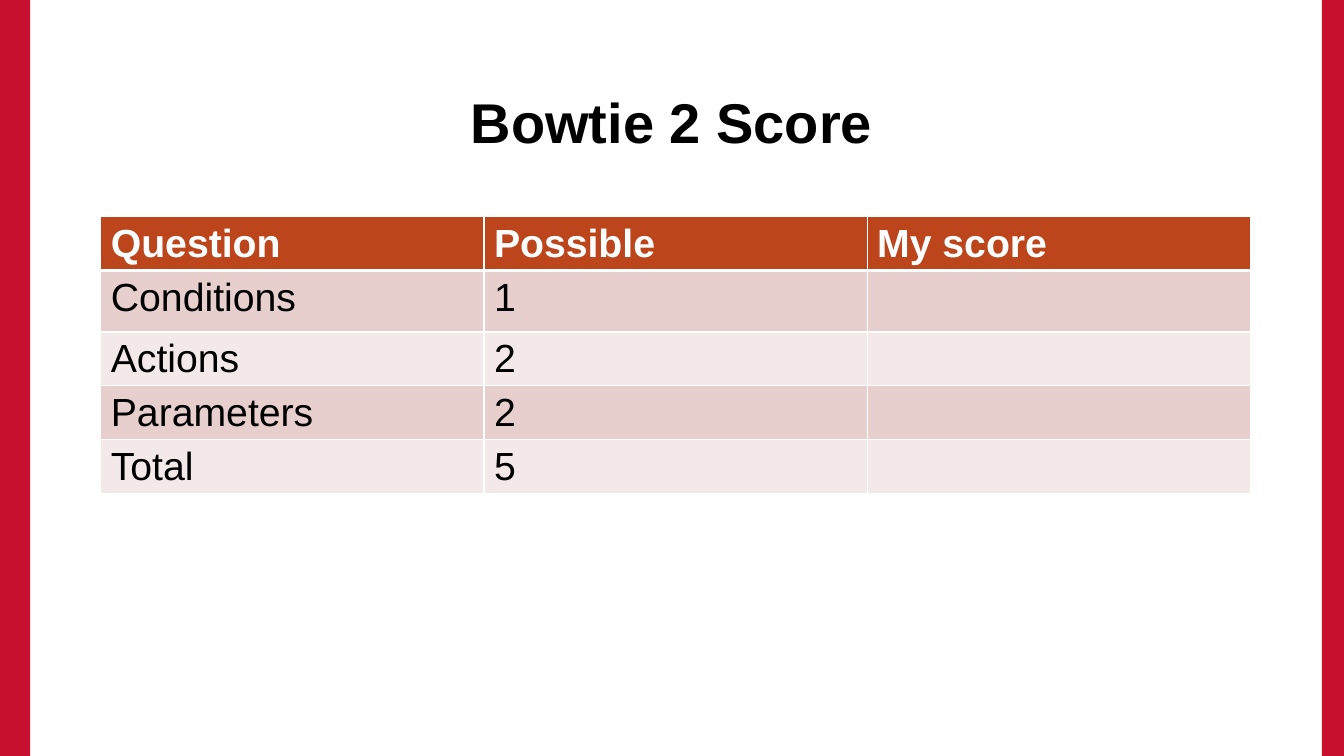
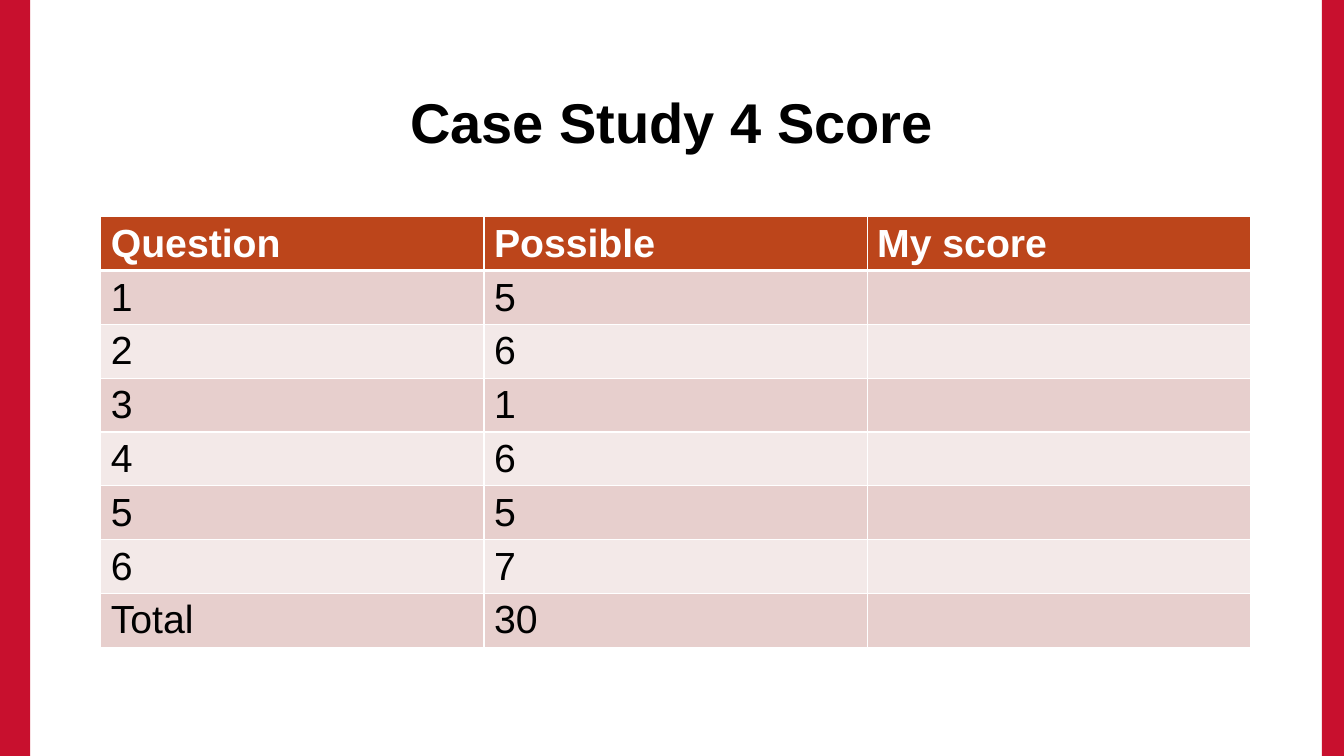
from pptx import Presentation
from pptx import util as u
from pptx.dml.color import RGBColor
from pptx.enum import shapes, text
from pptx.oxml import parse_xml
from pptx.oxml.ns import nsdecls

HEADER = ("Question", "Possible", "My score")
SCORES = [
    ("Bowtie 2 Score",
     [("Conditions", 1), ("Actions", 2), ("Parameters", 2), ("Total", 5)],
     {1: 0.61}),
    ("Case Study 4 Score",
     [(1, 5), (2, 6), (3, 1), (4, 6), (5, 5), (6, 7), ("Total", 30)],
     {}),
]
RED, RUST, WHITE, BLACK = "C8102E", "BC451B", "FFFFFF", "000000"
ROW_FILLS = ("E7CFCD", "F3E9E8")
WIDTH, HEIGHT = 13.33, 7.5
BANDS = [(0, 0.3), (13.11, 0.22)]
TITLE_AREA = {"left": 1, "top": 0.67, "width": 11.32, "height": 1.06}
TABLE_LEFT, TABLE_TOP, COLUMN_WIDTH, ROW_HEIGHT = 1, 2.15, 3.8, 0.53
TITLE_FONT = {"name": "Arial", "size": u.Pt(40), "bold": True}
HEADER_FONT = {"name": "Arial", "size": u.Pt(28), "bold": True}
BODY_FONT = {**HEADER_FONT, "bold": False}


def rgb(value):
    return RGBColor.from_string(value)


def set_font(para, values, color):
    for name, value in values.items():
        setattr(para.font, name, value)
    para.font.color.rgb = rgb(color)


def add_bands(page, layout):
    for holder in list(layout.placeholders):
        if holder.placeholder_format.type != shapes.PP_PLACEHOLDER.TITLE:
            holder.element.getparent().remove(holder.element)
    for left, width in BANDS:
        band = page.shapes.add_shape(
            shapes.MSO_SHAPE.RECTANGLE, u.Inches(left), 0, u.Inches(width), u.Inches(HEIGHT))
        band.shadow.inherit = False
        band.fill.solid()
        band.fill.fore_color.rgb = rgb(RED)
        band.line.fill.background()
        layout.shapes.element.append(band.element)


def set_title(page, words):
    title = page.shapes.title
    for name, value in TITLE_AREA.items():
        setattr(title, name, u.Inches(value))
    frame = title.text_frame
    frame.text = words
    frame.vertical_anchor = text.MSO_ANCHOR.MIDDLE
    para = frame.paragraphs[0]
    para.alignment = text.PP_ALIGN.CENTER
    set_font(para, TITLE_FONT, BLACK)


def set_borders(cell, points):
    for position, (side, weight) in enumerate(points.items()):
        line = parse_xml(
            f'<a:ln{side} {nsdecls("a")} w="{u.Pt(weight)}"><a:solidFill>'
            f'<a:srgbClr val="{WHITE}"/></a:solidFill></a:ln{side}>')
        cell._tc.get_or_add_tcPr().insert(position, line)


def add_score_table(page, scores, special_heights):
    rows = [HEADER] + [(*score, "") for score in scores]
    heights = [special_heights.get(i, ROW_HEIGHT) for i in range(len(rows))]
    table = page.shapes.add_table(
        len(rows), len(HEADER), u.Inches(TABLE_LEFT), u.Inches(TABLE_TOP),
        u.Inches(COLUMN_WIDTH * len(HEADER)), u.Inches(sum(heights))).table
    for column in table.columns:
        column.width = u.Inches(COLUMN_WIDTH)
    for i, (row, height) in enumerate(zip(rows, heights)):
        table.rows[i].height = u.Inches(height)
        for j, value in enumerate(row):
            cell = table.cell(i, j)
            cell.text = str(value)
            cell.fill.solid()
            cell.fill.fore_color.rgb = rgb(ROW_FILLS[(i - 1) % 2] if i else RUST)
            set_font(cell.text_frame.paragraphs[0],
                     BODY_FONT if i else HEADER_FONT, BLACK if i else WHITE)
            set_borders(cell, {"L": 1, "R": 1, "T": 3 if i == 1 else 1, "B": 1 if i else 3})


def main():
    deck = Presentation()
    deck.slide_width, deck.slide_height = u.Inches(WIDTH), u.Inches(HEIGHT)
    layout = deck.slide_layouts.get_by_name("Title Only")
    pages = [deck.slides.add_slide(layout) for _ in SCORES]
    add_bands(pages[0], layout)
    for page, (title, scores, special_heights) in zip(pages, SCORES):
        set_title(page, title)
        add_score_table(page, scores, special_heights)
    deck.save("out.pptx")


if __name__ == "__main__":
    main()
